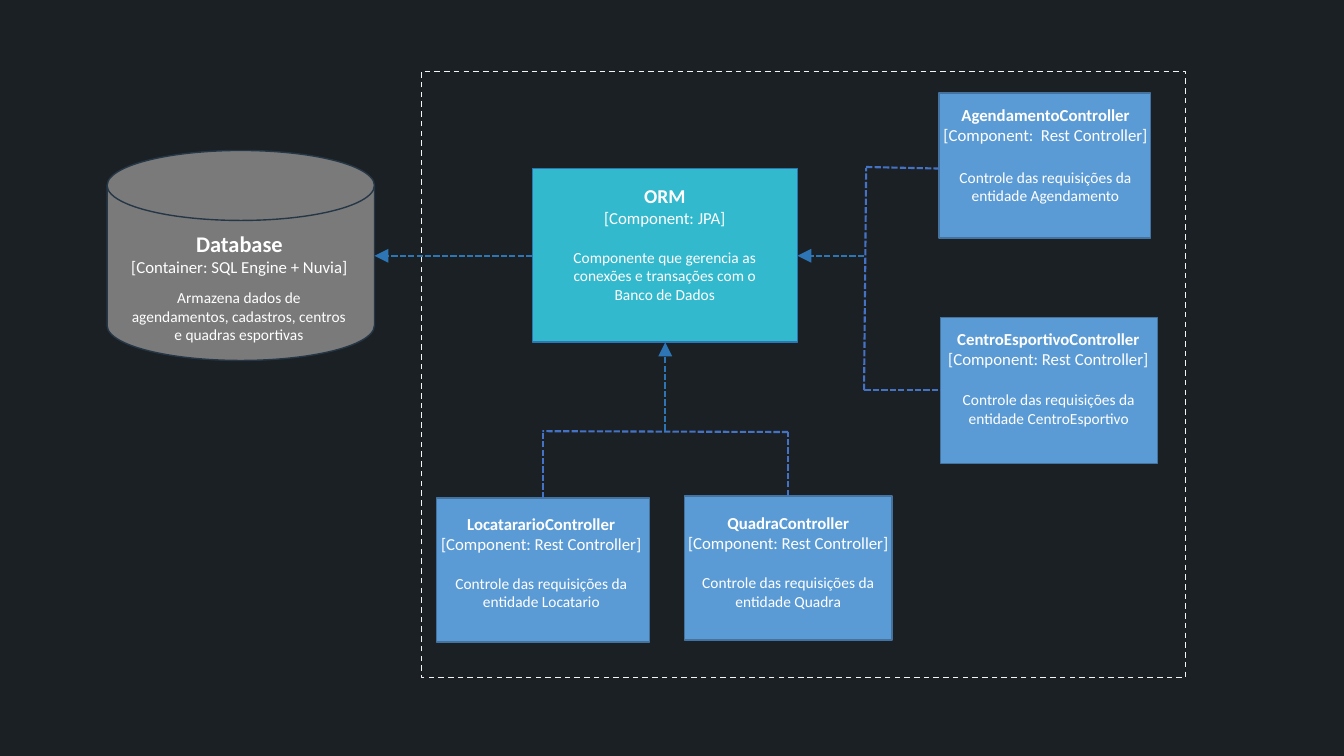
"""Builds the component diagram of the controllers, the ORM and the database."""
from lxml import etree
from pptx import Presentation
from pptx.dml.color import RGBColor
from pptx.enum.dml import MSO_LINE
from pptx.enum.shapes import MSO_CONNECTOR, MSO_SHAPE
from pptx.enum.text import PP_ALIGN
from pptx.oxml.ns import qn
from pptx.util import Pt

RECTANGLE = MSO_SHAPE.RECTANGLE
DISK = MSO_SHAPE.FLOWCHART_MAGNETIC_DISK
STRAIGHT = MSO_CONNECTOR.STRAIGHT
DASH = MSO_LINE.DASH
SQUARE_DOT = MSO_LINE.SQUARE_DOT
CENTER = PP_ALIGN.CENTER

COLORS = {
    "background": "1B2024", "text": "FFFFFF", "boundary": "F5F5F5",
    "database": "7A7A7A", "database edge": "253746",
    "orm": "32B9CD", "arrow": "2E75B6",
    "controller": "5B9BD5", "controller edge": "43739E", "branch": "4472C4",
}


def color(name):
    return RGBColor.from_string(COLORS[name])


def add_label(slide, bounds, lines):
    box = slide.shapes.add_textbox(*map(Pt, bounds))
    box.text_frame.word_wrap = True
    for index, (text, size, bold) in enumerate(lines):
        para = box.text_frame.paragraphs[0] if index == 0 else box.text_frame.add_paragraph()
        para.text = text
        para.alignment = CENTER
        para.font.name = "Calibri"
        para.font.size = Pt(size)
        para.font.bold = bold
        para.font.color.rgb = color("text")


deck = Presentation()
deck.slide_width, deck.slide_height = Pt(960), Pt(540)
slide = deck.slides.add_slide(deck.slide_layouts[6])
slide.background.fill.solid()
slide.background.fill.fore_color.rgb = color("background")

REST = "[Component: Rest Controller]"
CONTROL = "Controle das requisições da entidade "
components = [
    (DISK, (76.5, 107.5, 191, 150), "database", "database edge",
     (86.4, 161, 169.2, 41), "Database", 16, "[Container: SQL Engine + Nuvia]",
     (85.7, 202.3, 170, 47.5),
     "Armazena dados de agendamentos, cadastros, centros e quadras esportivas"),
    (RECTANGLE, (380.2, 120.2, 189.4, 124.2), "orm", "arrow",
     (380.2, 128, 189.4, 39), "ORM", 14, "[Component: JPA]",
     (395.3, 173.5, 159.1, 47.5),
     "Componente que gerencia as conexões e transações com o Banco de Dados"),
    (RECTANGLE, (488.9, 354.2, 148.3, 103), "controller", "controller edge",
     (483.1, 362.9, 160, 36), "QuadraController", 12, REST,
     (483.1, 406.1, 160, 34), CONTROL + "Quadra"),
    (RECTANGLE, (671.8, 226.9, 155.2, 104), "controller", "controller edge",
     (665, 231.3, 167.8, 36), "CentroEsportivoController", 12, REST,
     (665.3, 275.2, 167.8, 34), CONTROL + "CentroEsportivo"),
    (RECTANGLE, (311.9, 355.7, 152, 103), "controller", "controller edge",
     (306, 363.6, 161.3, 36), "LocatararioController", 12, REST,
     (304.6, 406.4, 164.2, 34), CONTROL + "Locatario"),
    (RECTANGLE, (670.7, 66.4, 151, 103.7), "controller", "controller edge",
     (663, 71.4, 167.8, 36), "AgendamentoController", 12, "[Component:  Rest Controller]",
     (665.5, 116.4, 162.7, 34), CONTROL + "Agendamento"),
]
for (kind, bounds, fill, edge, heading_bounds, name, name_size, role,
     description_bounds, description) in components:
    component = slide.shapes.add_shape(kind, *map(Pt, bounds))
    component.shadow.inherit = False
    component.fill.solid()
    component.fill.fore_color.rgb = color(fill)
    component.line.color.rgb = color(edge)
    component.line.width = Pt(1)
    add_label(slide, heading_bounds, [(name, name_size, True), (role, 12, False)])
    add_label(slide, description_bounds, [(description, 11, False)])

boundary = slide.shapes.add_shape(RECTANGLE, Pt(301), Pt(51), Pt(546), Pt(433))
boundary.shadow.inherit = False
boundary.fill.background()
boundary.line.color.rgb = color("boundary")
boundary.line.width = Pt(1)
boundary.line.dash_style = DASH

links = [
    ("arrow", 380.2, 182.7, 267.5, 182.7),
    ("branch", 388, 355.7, 388, 308.6),
    ("branch", 563, 354.2, 563, 308.6),
    ("branch", 563, 308.6, 387.5, 308),
    ("arrow", 475.2, 307.7, 475.2, 244.6),
    ("branch", 618.7, 119.3, 670.7, 120.4),
    ("branch", 617.5, 278.6, 671.8, 278.6),
    ("branch", 617.2, 278.6, 618.7, 120),
    ("arrow", 617.2, 182.7, 569.6, 182.7),
]
for role, *ends in links:
    link = slide.shapes.add_connector(STRAIGHT, *map(Pt, ends))
    link.line.color.rgb = color(role)
    link.line.width = Pt(1.5)
    link.line.dash_style = SQUARE_DOT
    properties = link.element.spPr
    if role == "arrow":
        etree.SubElement(properties.find(qn("a:ln")), qn("a:tailEnd"),
                         type="triangle", w="lg", len="lg")
    etree.SubElement(properties, qn("a:effectLst"))

deck.save("out.pptx")
